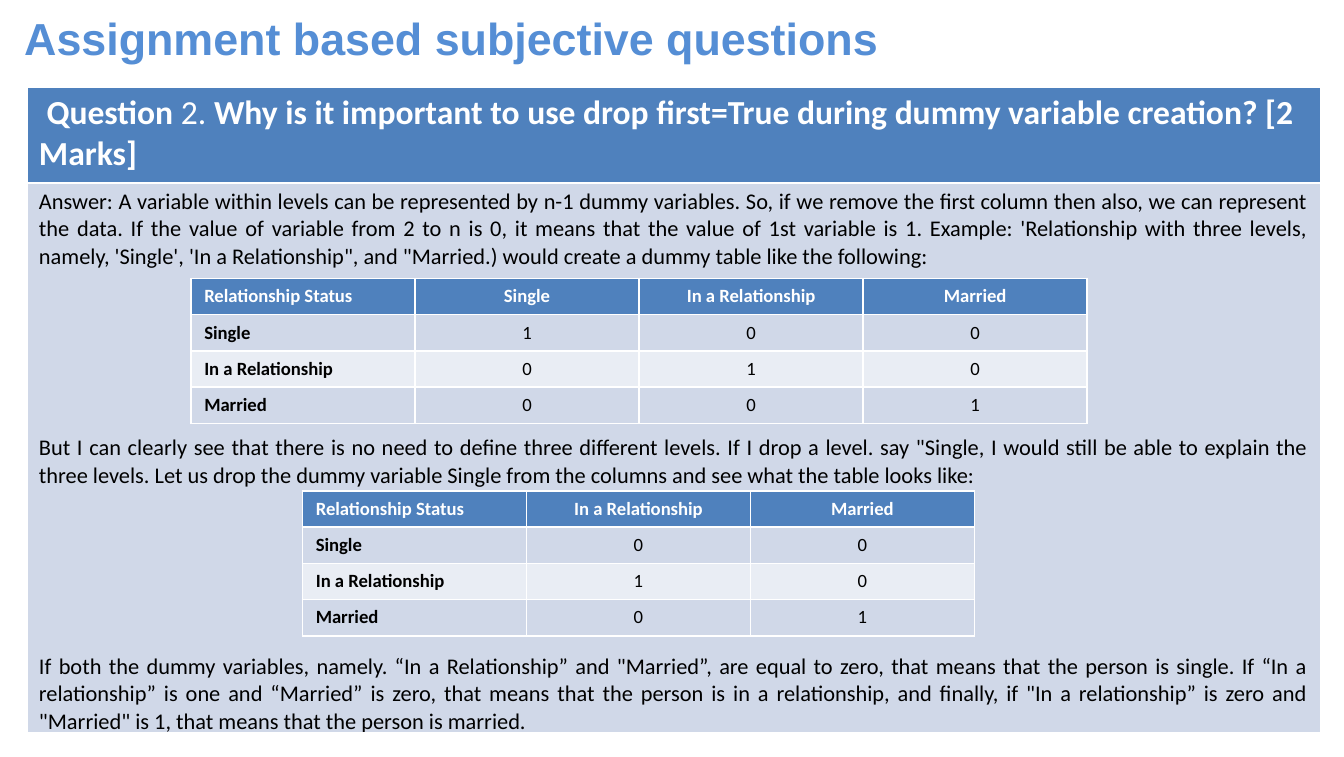
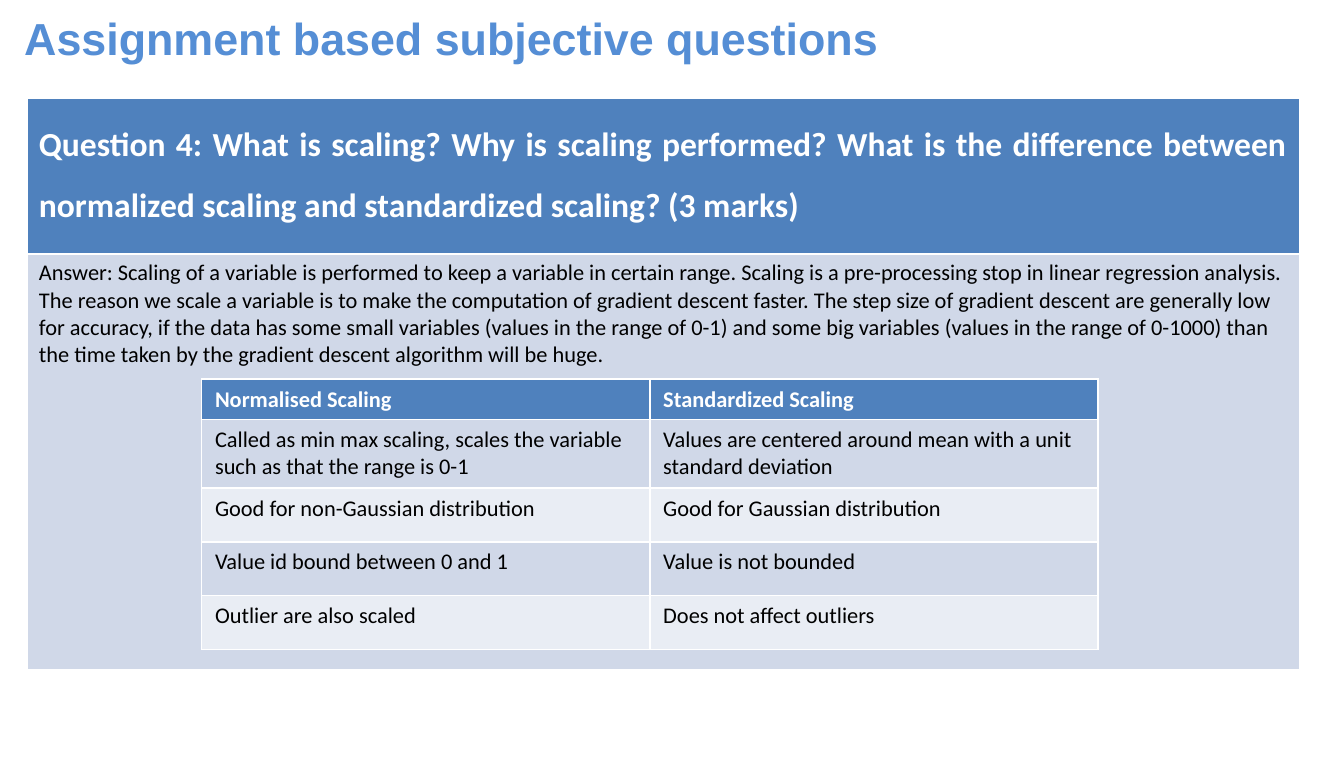
from pptx import Presentation
from pptx.dml.color import RGBColor
from pptx.enum.text import MSO_ANCHOR, MSO_AUTO_SIZE, PP_ALIGN
from pptx.util import Inches, Pt

COLORS = {
    "title": "558ED5",
    "header": "4F81BD",
    "header_text": "FFFFFF",
    "odd_row": "D0D8E8",
    "even_row": "E9EDF4",
    "text": "000000",
}
TITLE = "Assignment based subjective questions"
LEFT, CENTER, JUSTIFY = PP_ALIGN.LEFT, PP_ALIGN.CENTER, PP_ALIGN.JUSTIFY

SLIDES = [
    {
        "question": [
            (" Question ", True),
            ("2. ", False),
            ("Why is it important to use drop first=True during dummy variable "
             "creation? [2 Marks]", True),
        ],
        "question_format": {"alignment": LEFT},
        "answer": [
            "Answer: A variable within levels can be represented by n-1 dummy variables. "
            "So, if we remove the first column then also, we can represent the data. "
            "If the value of variable from 2 to n is 0, it means that the value of 1st "
            "variable is 1. Example: 'Relationship with three levels, namely, 'Single', "
            "'In a Relationship\", and \"Married.) would create a dummy table like the "
            "following:",
            "But I can clearly see that there is no need to define three different levels. "
            "If I drop a level. say \"Single, I would still be able to explain the three "
            "levels. Let us drop the dummy variable Single from the columns and see what "
            "the table looks like:",
            "If both the dummy variables, namely. “In a Relationship” and \"Married”, are "
            "equal to zero, that means that the person is single. If “In a relationship” "
            "is one and “Married” is zero, that means that the person is in a "
            "relationship, and finally, if \"In a relationship” is zero and \"Married\" "
            "is 1, that means that the person is married.",
        ],
        "answer_format": {"alignment": JUSTIFY},
        "panel": {"left": 0.2, "top": 0.65, "width": 9.63, "heights": [0.71, 4.09]},
        "tables": [
            {
                "place": {"left": 1.42, "top": 2.07, "width": 6.67, "heights": [0.27] * 4},
                "size": 10,
                "labelled": True,
                "rows": [
                    ("Relationship Status", "Single", "In a Relationship", "Married"),
                    ("Single", "1", "0", "0"),
                    ("In a Relationship", "0", "1", "0"),
                    ("Married", "0", "0", "1"),
                ],
            },
            {
                "place": {"left": 2.25, "top": 3.65, "width": 5, "heights": [0.27] * 4},
                "size": 10,
                "labelled": True,
                "rows": [
                    ("Relationship Status", "In a Relationship", "Married"),
                    ("Single", "0", "0"),
                    ("In a Relationship", "1", "0"),
                    ("Married", "0", "1"),
                ],
            },
        ],
    },
    {
        "question": [
            ("Question 4: What is scaling? Why is scaling performed? What is the "
             "difference between normalized scaling and standardized scaling? (3 marks)",
             True),
        ],
        "question_format": {"alignment": JUSTIFY, "line_spacing": 1.5},
        "answer": [
            "Answer: Scaling of a variable is performed to keep a variable in certain "
            "range. Scaling is a pre-processing stop in linear regression analysis. The "
            "reason we scale a variable is to make the computation of gradient descent "
            "faster. The step size of gradient descent are generally low for accuracy, if "
            "the data has some small variables (values in the range of 0-1) and some big "
            "variables (values in the range of 0-1000) than the time taken by the gradient "
            "descent algorithm will be huge.",
        ],
        "answer_format": {"alignment": LEFT},
        "panel": {"left": 0.2, "top": 0.73, "width": 9.47, "heights": [1.16, 3.09]},
        "tables": [
            {
                "place": {"left": 1.5, "top": 2.82, "width": 6.67,
                          "heights": [0.3, 0.51] + [0.4] * 3},
                "size": 12,
                "labelled": False,
                "rows": [
                    ("Normalised Scaling", "Standardized Scaling"),
                    ("Called as min max scaling, scales the variable such as that the "
                     "range is 0-1",
                     "Values are centered around mean with a unit standard deviation"),
                    ("Good for non-Gaussian distribution", "Good for Gaussian distribution"),
                    ("Value id bound between 0 and 1", "Value is not bounded"),
                    ("Outlier are also scaled", "Does not affect outliers"),
                ],
            },
        ],
    },
]


def apply(target, values):
    for name, value in values.items():
        setattr(target, name, value)


def add_span(para, text, size, color, bold, font="Calibri"):
    span = para.add_run()
    span.text = text
    apply(span.font, {"name": font, "size": Pt(size), "bold": bold})
    span.font.color.rgb = RGBColor.from_string(COLORS[color])


def add_grid(slide, left, top, width, heights, columns):
    frame = slide.shapes.add_table(
        len(heights), columns, Inches(left), Inches(top), Inches(width),
        Inches(sum(heights)))
    grid = frame.table
    for row, height in zip(grid.rows, heights):
        row.height = Inches(height)
    for number, row in enumerate(grid.rows):
        fill = "header" if number == 0 else "odd_row" if number % 2 else "even_row"
        for cell in row.cells:
            cell.fill.solid()
            cell.fill.fore_color.rgb = RGBColor.from_string(COLORS[fill])
    return grid


def add_title(slide):
    title = slide.shapes.title
    apply(title, {"left": Inches(0.17), "top": Inches(0.07),
                  "width": Inches(7.33), "height": Inches(0.42)})
    apply(title.text_frame, {
        "margin_left": 0, "margin_top": Inches(0.01), "margin_right": 0,
        "margin_bottom": 0, "word_wrap": True, "vertical_anchor": MSO_ANCHOR.TOP,
        "auto_size": MSO_AUTO_SIZE.SHAPE_TO_FIT_TEXT})
    para = title.text_frame.paragraphs[0]
    apply(para, {"alignment": LEFT, "space_before": Pt(1)})
    para._p.get_or_add_pPr().set("marL", str(Inches(0.01)))
    add_span(para, TITLE, 24, "title", True, "Arial")


def add_panel(slide, content):
    grid = add_grid(slide, columns=1, **content["panel"])
    question, answer = grid.cell(0, 0), grid.cell(1, 0)
    for cell in (question, answer):
        apply(cell, {"margin_left": Inches(0.09), "margin_right": Inches(0.09),
                     "margin_top": Inches(0.04), "margin_bottom": Inches(0.04)})
    answer.margin_bottom = 0
    para = question.text_frame.paragraphs[0]
    apply(para, content["question_format"])
    for text, bold in content["question"]:
        add_span(para, text, 18, "header_text", bold)
    frame = answer.text_frame
    for number, text in enumerate(content["answer"]):
        para = frame.add_paragraph() if number else frame.paragraphs[0]
        apply(para, content["answer_format"])
        if number:
            para.space_before = Pt(88)
        add_span(para, text, 12, "text", False)


def add_data(slide, data):
    rows, labelled = data["rows"], data["labelled"]
    grid = add_grid(slide, columns=len(rows[0]), **data["place"])
    for y, row in enumerate(rows):
        for x, text in enumerate(row):
            para = grid.cell(y, x).text_frame.paragraphs[0]
            para.alignment = CENTER if labelled and x else LEFT
            bold = y == 0 or (labelled and x == 0)
            add_span(para, text, data["size"], "text" if y else "header_text", bold)


deck = Presentation()
apply(deck, {"slide_width": Inches(10), "slide_height": Inches(5.63)})
for content in SLIDES:
    page = deck.slides.add_slide(deck.slide_layouts[5])
    add_title(page)
    add_panel(page, content)
    for data in content["tables"]:
        add_data(page, data)
deck.save("out.pptx")
